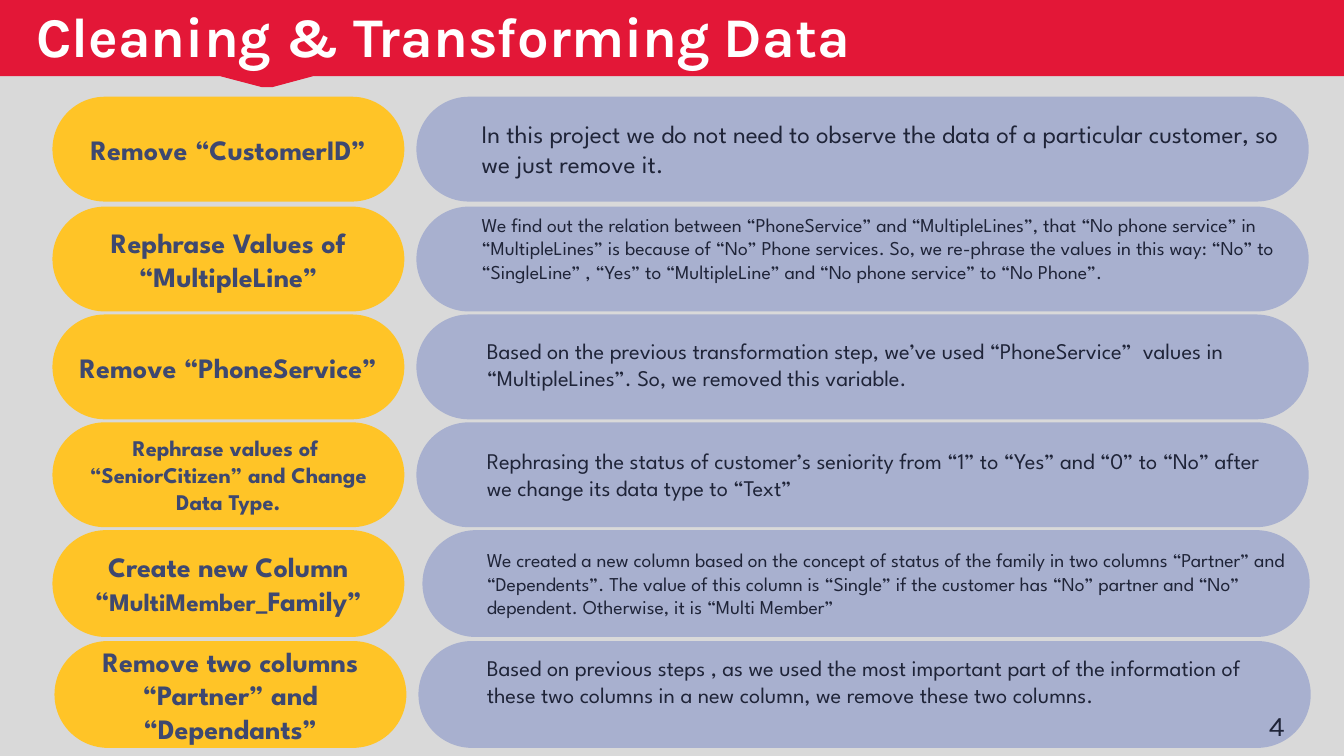
from dataclasses import dataclass

from pptx import Presentation
from pptx.dml.color import RGBColor
from pptx.enum.shapes import MSO_SHAPE
from pptx.enum.text import MSO_ANCHOR, PP_ALIGN
from pptx.util import Inches, Pt

ROUNDED = MSO_SHAPE.ROUNDED_RECTANGLE
TOP, MIDDLE, BOTTOM = MSO_ANCHOR.TOP, MSO_ANCHOR.MIDDLE, MSO_ANCHOR.BOTTOM
LEFT, CENTER, RIGHT = PP_ALIGN.LEFT, PP_ALIGN.CENTER, PP_ALIGN.RIGHT

GREY = RGBColor(0xD9, 0xD9, 0xD9)
RED = RGBColor(0xE3, 0x17, 0x37)
YELLOW = RGBColor(0xFF, 0xC4, 0x27)
LAVENDER = RGBColor(0xA8, 0xB0, 0xCF)
INDIGO = RGBColor(0x3E, 0x48, 0x70)
NAVY = RGBColor(0x1F, 0x24, 0x38)
WHITE = RGBColor(0xFF, 0xFF, 0xFF)

HEADING_FONT = "Karla"
BODY_FONT = "League Spartan"
SLIDE_WIDTH = 13.33
BANNER_OUTLINE = [
    (0, 0), (0, 0.75), (2.18, 0.75), (2.6, 0.86), (2.7, 0.86),
    (3.11, 0.75), (SLIDE_WIDTH, 0.75), (SLIDE_WIDTH, 0),
]


@dataclass
class Step:
    title: list
    title_size: int
    title_box: tuple
    panel_box: tuple
    detail: str
    detail_size: int
    detail_box: tuple


STEPS = [
    Step(["Remove “CustomerID”"], 20, (0.52, 0.96, 3.49, 1.04), (4.13, 0.96, 8.85, 1.04),
         "In this project we do not need to observe the data of a particular customer, "
         "so we just remove it.",
         18, (4.68, 1.12, 8.14, 0.71)),
    Step(["Rephrase Values of “MultipleLine”"], 20,
         (0.52, 2.05, 3.49, 1.04), (4.13, 2.05, 8.85, 1.04),
         "We find out the relation between “PhoneService” and “MultipleLines”, that "
         "“No phone service” in “MultipleLines” is because of “No” Phone services. So, we "
         "re-phrase the values in this way: “No” to “SingleLine” , “Yes” to “MultipleLine” "
         "and “No phone service” to “No Phone”.",
         14, (4.68, 2.06, 8.14, 1.04)),
    Step(["Remove “PhoneService”"], 20, (0.52, 3.12, 3.49, 1.04), (4.13, 3.12, 8.85, 1.04),
         "Based on the previous transformation step, we’ve used “PhoneService”  values in "
         "“MultipleLines”. So, we removed this variable.",
         16, (4.73, 3.3, 8.04, 0.64)),
    Step(["Rephrase values of  “SeniorCitizen” and Change Data Type."], 16,
         (0.52, 4.19, 3.49, 1.04), (4.13, 4.19, 8.85, 1.04),
         "Rephrasing the status of customer’s seniority from “1” to “Yes” and “0” to “No” "
         "after we change its data type to “Text”",
         16, (4.73, 4.39, 8.04, 0.64)),
    Step([[("Create new Column “", 20), ("MultiMember", 18), ("_Family”", 20)]], 20,
         (0.52, 5.26, 3.49, 1.06), (4.19, 5.26, 8.8, 1.06),
         "We created a new column based on the concept of status of the family in two "
         "columns “Partner” and “Dependents”. The value of this column is “Single” if the "
         "customer has “No” partner and “No” dependent. Otherwise, it is “Multi Member”",
         14, (4.73, 5.39, 8.14, 0.81)),
    Step(["Remove two columns", "“Partner” and “Dependants”"], 20,
         (0.54, 6.36, 3.49, 1.06), (4.15, 6.36, 8.85, 1.06),
         "Based on previous steps , as we used the most important part of the information "
         "of these two columns in a new column, we remove these two columns.",
         16, (4.73, 6.44, 8.04, 0.91)),
]


def write(frame, paragraphs, size, color, font=BODY_FONT, bold=False,
          align=LEFT, anchor=TOP):
    frame.word_wrap = True
    frame.vertical_anchor = anchor
    for index, content in enumerate(paragraphs):
        paragraph = frame.add_paragraph() if index else frame.paragraphs[0]
        paragraph.alignment = align
        paragraph.font.name = font
        paragraph.font.size = Pt(size)
        paragraph.font.bold = bold
        paragraph.font.color.rgb = color
        if isinstance(content, str):
            paragraph.add_run().text = content
        else:
            for text, run_size in content:
                run = paragraph.add_run()
                run.text = text
                run.font.size = Pt(run_size)


def add_banner(slide):
    points = [(Inches(x), Inches(y)) for x, y in BANNER_OUTLINE]
    builder = slide.shapes.build_freeform(*points[0])
    builder.add_line_segments(points[1:], close=True)
    banner = builder.convert_to_shape()
    banner.shadow.inherit = False
    banner.fill.solid()
    banner.fill.fore_color.rgb = RED
    banner.line.color.rgb = RED
    banner.line.width = Pt(0.75)


def add_pill(slide, box, color):
    pill = slide.shapes.add_shape(ROUNDED, *map(Inches, box))
    pill.adjustments[0] = 0.5
    pill.shadow.inherit = False
    pill.fill.solid()
    pill.fill.fore_color.rgb = color
    pill.line.fill.background()
    return pill


def add_text(slide, box, text, size, color, **style):
    frame = slide.shapes.add_textbox(*map(Inches, box)).text_frame
    write(frame, [text], size, color, **style)
    return frame


def add_step(slide, step):
    add_pill(slide, step.panel_box, LAVENDER)
    title_pill = add_pill(slide, step.title_box, YELLOW)
    write(title_pill.text_frame, step.title, step.title_size, INDIGO,
          bold=True, align=CENTER, anchor=MIDDLE)
    add_text(slide, step.detail_box, step.detail, step.detail_size, NAVY)


def main():
    presentation = Presentation()
    presentation.slide_width = Inches(SLIDE_WIDTH)
    presentation.slide_height = Inches(7.5)
    slide = presentation.slides.add_slide(presentation.slide_layouts[6])
    slide.background.fill.solid()
    slide.background.fill.fore_color.rgb = GREY

    add_banner(slide)
    add_text(slide, (0.26, 0.04, 11.56, 0.69), "Cleaning & Transforming Data", 40, WHITE,
             font=HEADING_FONT, bold=True, anchor=BOTTOM)
    for step in STEPS:
        add_step(slide, step)
    page_number = add_text(slide, (11.68, 6.83, 1.16, 0.54), "4", 20, NAVY,
                           font=HEADING_FONT, align=RIGHT, anchor=BOTTOM)
    page_number.margin_bottom = Inches(0.01)
    presentation.save("out.pptx")


if __name__ == "__main__":
    main()
